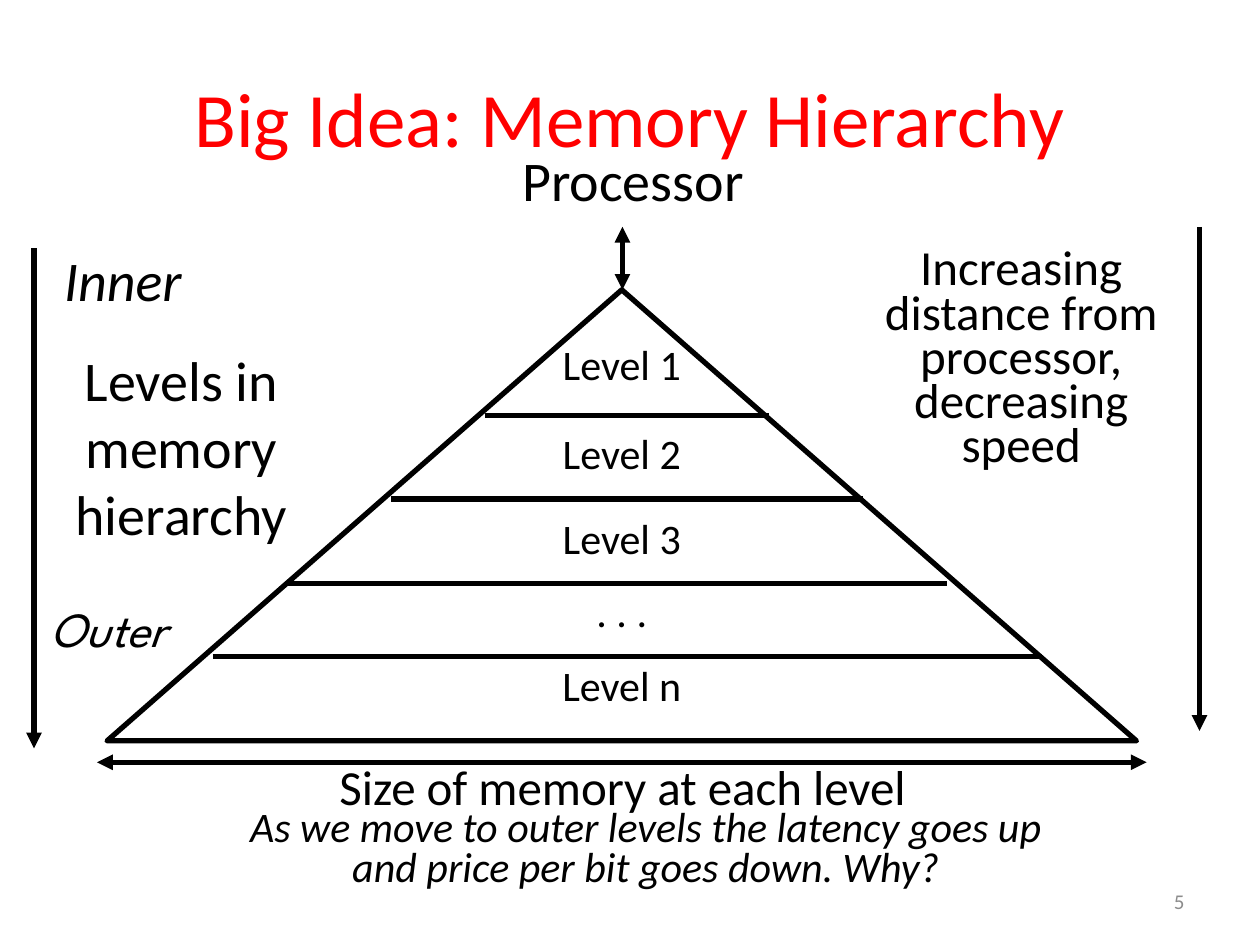
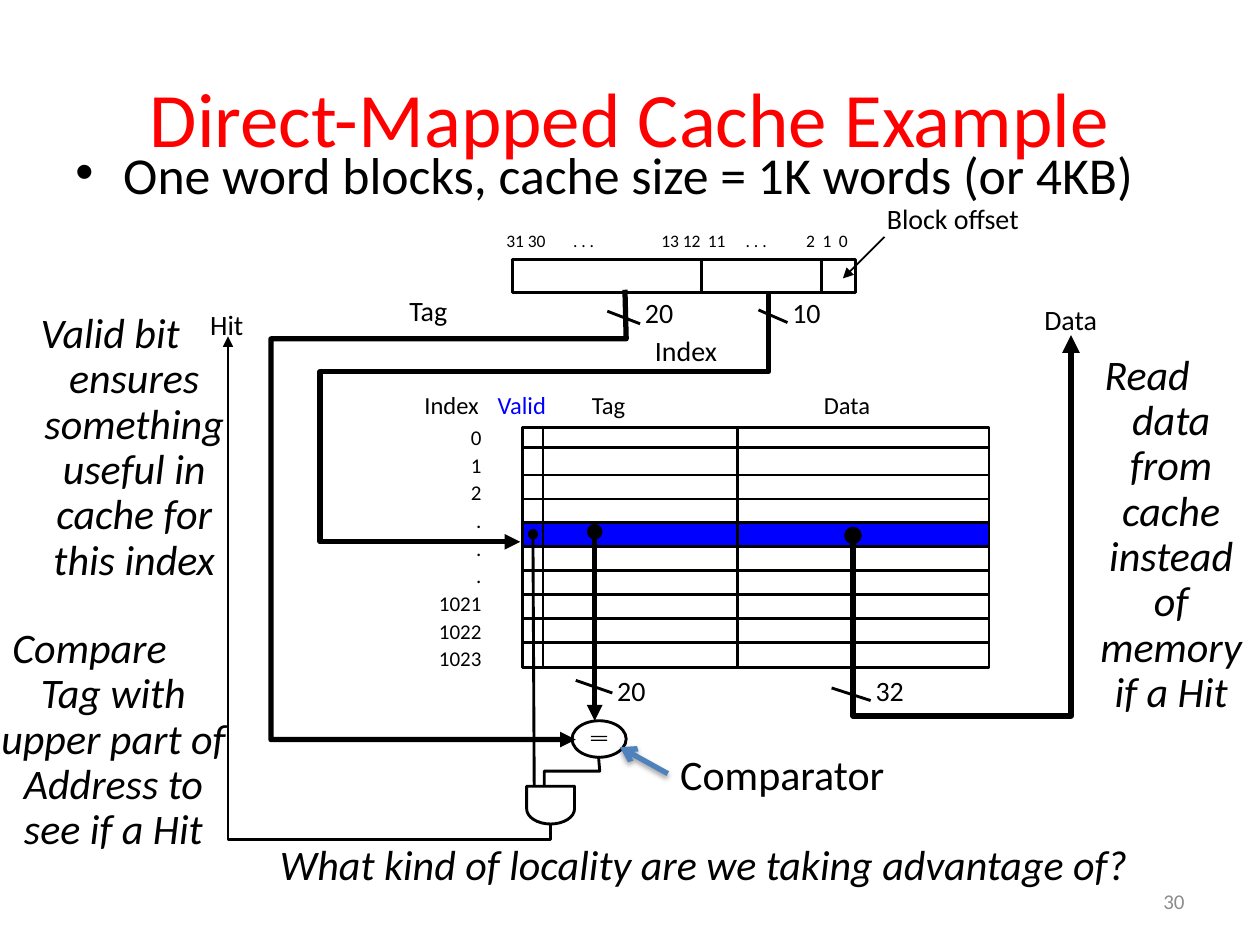
from dataclasses import dataclass
from math import cos, pi, sin

from lxml.etree import SubElement
from pptx import Presentation
from pptx.dml.color import RGBColor
from pptx.enum.shapes import MSO_CONNECTOR, MSO_SHAPE
from pptx.enum.text import MSO_ANCHOR, MSO_AUTO_SIZE, PP_ALIGN
from pptx.oxml.ns import qn
from pptx.slide import Slide
from pptx.util import Inches, Pt

BLACK, RED, BLUE, STEEL, GRAY = "000000", "FF0000", "0000FF", "4F81BD", "8C8C8C"
HEAVY, THIN = 3, 1.63
ALIGNMENTS = {"left": PP_ALIGN.LEFT, "center": PP_ALIGN.CENTER, "right": PP_ALIGN.RIGHT}
DIAGRAM_TEXT = dict(align="center", spacing=0.75, insets=(0.07, 0.03), grow=True)
LABEL = dict(size=16, wrap=False, grow=True)
HEADER = dict(size=14, wrap=False, grow=True)
REMARK = dict(size=24, italic=True, align="center", spacing=0.9, hanging=0.38)


@dataclass
class Region:
    slide: Slide
    left: float = 0
    top: float = 0

    def point(self, x, y):
        return Inches(self.left + x), Inches(self.top + y)

    def place(self, box):
        x, y, width, height = box
        return *self.point(x, y), Inches(width), Inches(height)


def color(value):
    return RGBColor.from_string(value)


def add_child(parent, tag, **attributes):
    return SubElement(parent, qn(tag), {name: str(value) for name, value in attributes.items()})


def write_text(region, text, box, size=24, font="Calibri", fill=BLACK, italic=False,
               align="left", spacing=None, insets=(0.1, 0.05), wrap=True, grow=False,
               middle=False, hanging=0, bullet=None, tabs=()):
    frame = region.slide.shapes.add_textbox(*region.place(box)).text_frame
    frame.word_wrap = wrap
    frame.auto_size = MSO_AUTO_SIZE.SHAPE_TO_FIT_TEXT if grow else MSO_AUTO_SIZE.NONE
    frame.vertical_anchor = MSO_ANCHOR.MIDDLE if middle else MSO_ANCHOR.TOP
    frame.margin_left = frame.margin_right = Inches(insets[0])
    frame.margin_top = frame.margin_bottom = Inches(insets[1])
    frame.text = text
    for paragraph in frame.paragraphs:
        properties = paragraph._p.get_or_add_pPr()
        if hanging:
            properties.set("marL", str(Inches(hanging)))
            properties.set("indent", str(-Inches(hanging)))
        if bullet:
            add_child(properties, "a:buFont", typeface="Arial")
            add_child(properties, "a:buChar", char=bullet)
        if tabs:
            tab_list = add_child(properties, "a:tabLst")
            for position in tabs:
                add_child(tab_list, "a:tab", pos=Inches(position), algn="l")
        paragraph.alignment = ALIGNMENTS[align]
        paragraph.line_spacing = spacing
        for run in paragraph.runs:
            run.font.name = font
            run.font.size = Pt(size)
            run.font.italic = italic
            run.font.color.rgb = color(fill)


def style_line(shape, width, stroke, head, tail):
    shape.line.color.rgb = color(stroke)
    shape.line.width = Pt(width)
    outline = shape.line._get_or_add_ln()
    for tag, kind in (("a:headEnd", head), ("a:tailEnd", tail)):
        if kind:
            add_child(outline, tag, type=kind)


def draw_line(region, start, end, width=HEAVY, stroke=BLACK, head=None, tail=None):
    connector = region.slide.shapes.add_connector(
        MSO_CONNECTOR.STRAIGHT, *region.point(*start), *region.point(*end))
    style_line(connector, width, stroke, head, tail)
    return add_child(connector._element.spPr, "a:effectLst")


def draw_path(region, points, width=HEAVY, head=None, tail=None, close=False):
    start, *others = [region.point(*point) for point in points]
    builder = region.slide.shapes.build_freeform(*start)
    builder.add_line_segments(others, close=close)
    shape = builder.convert_to_shape()
    shape.shadow.inherit = False
    shape.fill.background()
    style_line(shape, width, BLACK, head, tail)


def draw_shape(region, kind, box, fill=None, width=THIN):
    shape = region.slide.shapes.add_shape(kind, *region.place(box))
    shape.shadow.inherit = False
    if fill:
        shape.fill.solid()
        shape.fill.fore_color.rgb = color(fill)
    else:
        shape.fill.background()
    if width:
        style_line(shape, width, BLACK, None, None)
    else:
        shape.line.fill.background()


def add_titled_slide(presentation, title, number):
    slide = presentation.slides.add_slide(presentation.slide_layouts[6])
    page = Region(slide)
    write_text(page, title, (0.5, 0.3, 9, 1.25), size=44, fill=RED, align="center", middle=True)
    write_text(page, str(number), (7.17, 6.95, 2.33, 0.4), size=12, fill=GRAY,
               align="right", middle=True)
    return slide


def draw_processor(region):
    write_text(region, "Processor", (0, 0, 8.67, 0.48), size=32, **DIAGRAM_TEXT)
    draw_line(region, (4.25, 1.05), (4.25, 0.55), head="triangle", tail="triangle")


def draw_level_pyramid(region):
    draw_shape(region, MSO_SHAPE.ISOSCELES_TRIANGLE, (0, 0, 8.17, 3.58), width=HEAVY)
    levels = (("Level 1", 0.45), ("Level 2", 1.16), ("Level 3", 1.83),
              (". . .", 2.41), ("Level n", 3))
    for name, top in levels:
        write_text(region, name, (3.25, top, 1.67, 0.38), **DIAGRAM_TEXT)
    for left, right, y in ((3, 5.25, 1), (2.25, 6, 1.66), (1.42, 6.67, 2.33), (0.84, 7.42, 2.91)):
        draw_line(region, (left, y), (right, y))


def draw_memory_size(region):
    draw_line(region, (0, 0), (8.33, 0), head="triangle", tail="triangle")
    write_text(region, "Size of memory at each level", (0.67, 0.03, 7, 0.43), size=28,
               **DIAGRAM_TEXT)
    write_text(region, "As we move to outer levels the latency goes up\v"
               "and price per bit goes down. Why?", (0.48, 0.33, 7.75, 0.76),
               italic=True, align="center", spacing=0.8, grow=True)


def draw_distance_axis(region):
    write_text(region, "Increasing distance from processor,\vdecreasing speed",
               (0, 0.16, 2.67, 1.84), size=28, **DIAGRAM_TEXT)
    draw_line(region, (2.75, 0), (2.75, 4), tail="triangle")


def draw_level_axis(region):
    draw_line(region, (0, 0.07), (0, 4.04), tail="triangle")
    write_text(region, "Inner", (0.14, 0, 1.25, 0.64), size=32, italic=True,
               wrap=False, grow=True)
    write_text(region, "Levels in memory hierarchy", (0, 0.79, 2.34, 1.72), size=32,
               align="center", grow=True)
    write_text(region, "Outer", (0.03, 2.8, 1.28, 0.57), size=28, font="League Spartan",
               italic=True, wrap=False, grow=True)


def build_hierarchy_slide(presentation):
    slide = add_titled_slide(presentation, "Big Idea: Memory Hierarchy", 5)
    draw_processor(Region(slide, 0.69, 1.25))
    draw_level_pyramid(Region(slide, 0.85, 2.3))
    draw_memory_size(Region(slide, 0.77, 6.05))
    draw_distance_axis(Region(slide, 6.77, 1.8))
    draw_level_axis(Region(slide, 0.27, 1.9))


def mark_bus_width(region, bits, x, y, label_dx, label_dy):
    draw_line(region, (x, y), (x + label_dx + 0.06, y + 0.1), width=THIN)
    write_text(region, bits, (x + label_dx, y + label_dy, 0.45, 0.37), **LABEL)


def draw_address(region):
    draw_shape(region, MSO_SHAPE.RECTANGLE, (0, 0, 2.72, 0.26))
    for x in (1.5, 2.45):
        draw_line(region, (x, 0), (x, 0.26), width=THIN)
    write_text(region, "31 30\t. . .\t13 12\t11\t. . .\t2\t1\t0", (-0.15, -0.28, 3.1, 0.27),
               size=10, grow=True, tabs=(0.53, 1.23, 1.6, 1.9, 2.38, 2.51, 2.64))
    write_text(region, "Block offset", (2.87, -0.51, 1.25, 0.37), size=16, grow=True)
    draw_line(region, (2.95, -0.18), (2.62, 0.15), width=1, tail="triangle")


def draw_address_buses(region):
    draw_path(region, [(2.81, 0), (2.82, 0.39), (0, 0.39), (0, 3.57), (2.42, 3.57)],
              tail="triangle")
    mark_bus_width(region, "20", 2.67, 0.17, 0.2, -0.17)
    write_text(region, "Tag", (1, -0.02, 0.58, 0.37), **LABEL)
    draw_path(region, [(3.95, 0.02), (3.95, 0.65), (0.39, 0.65), (0.39, 2), (1.98, 2)],
              tail="triangle")
    mark_bus_width(region, "10", 3.87, 0.16, 0.17, -0.16)
    write_text(region, "Index", (2.95, 0.3, 0.74, 0.37), **LABEL)


def draw_cache(region):
    width, height, row_height = 3.7, 1.91, 0.19
    draw_shape(region, MSO_SHAPE.RECTANGLE, (0, 0, width, height))
    draw_shape(region, MSO_SHAPE.RECTANGLE, (0, 4 * row_height, width, row_height), fill=BLUE)
    for y in [0.16] + [row * row_height for row in range(2, 10)]:
        draw_line(region, (0, y), (width, y), width=THIN)
    for x in (0.16, 1.7):
        draw_line(region, (x, 0), (x, height), width=THIN)
    headers = (("Index", -0.88, 0.7, BLACK), ("Valid", -0.3, 0.59, BLUE),
               ("Tag", 0.45, 0.53, BLACK), ("Data", 2.29, 0.61, BLACK))
    for name, left, label_width, fill in headers:
        write_text(region, name, (left, -0.34, label_width, 0.33), fill=fill, **HEADER)
    write_text(region, "0\n1\n2\n.\n.\n.\n1021\n1022\n1023", (-0.8, -0.09, 0.57, 2.09), size=12,
               align="right", spacing=1.1, wrap=False, grow=True)


def draw_comparator(region):
    draw_shape(region, MSO_SHAPE.OVAL, (0, 0, 0.43, 0.29))
    for y in (0.12, 0.15):
        draw_shape(region, MSO_SHAPE.RECTANGLE, (0.15, y, 0.13, 0.01), fill=BLACK, width=None)
    draw_line(region, (0.18, -1.5), (0.18, 0), head="oval", tail="triangle")
    mark_bus_width(region, "20", 0.03, -0.32, 0.23, -0.1)
    write_text(region, "Comparator", (0.76, 0.17, 1.84, 0.5), wrap=False, grow=True)
    effects = draw_line(region, (0.76, 0.42), (0.38, 0.21), stroke=STEEL, tail="arrow")
    shadow = add_child(effects, "a:outerShdw", blurRad=Pt(3.1), dist=Pt(1.6), dir=5400000,
                       rotWithShape=0)
    add_child(add_child(shadow, "a:srgbClr", val=BLACK), "a:alpha", val=38000)


def draw_hit_logic(region):
    radius, side, depth = 0.19, 0.18, 0.12
    curve = [(radius - radius * cos(step * pi / 16), side + depth * sin(step * pi / 16))
             for step in range(17)]
    draw_path(region, [(0, 0), *curve, (2 * radius, 0)], width=THIN, close=True)
    draw_line(region, (0.05, -2), (0.06, 0), width=THIN, head="oval")
    draw_path(region, [(0.57, -0.24), (0.58, -0.12), (0.14, -0.12), (0.14, 0)], width=THIN)
    draw_path(region, [(radius, side + depth), (radius, 0.42), (-2.37, 0.42), (-2.37, -3.57)],
              width=THIN, tail="triangle")
    write_text(region, "Hit", (-2.61, -3.85, 0.47, 0.37), **LABEL)


def draw_data_bus(region):
    draw_path(region, [(0, 1.59), (0, 3.02), (1.73, 3.02), (1.73, 0)], width=3.38,
              head="oval", tail="triangle")
    mark_bus_width(region, "32", -0.17, 2.8, 0.25, -0.16)
    write_text(region, "Data", (1.42, -0.31, 0.67, 0.37), **LABEL)


def write_remarks(region):
    write_text(region, "One word blocks, cache size = 1K words (or 4KB)",
               (0.5, 1.26, 8.83, 0.74), size=29.6, spacing=0.6, hanging=0.38, bullet="•")
    remarks = (
        ("Valid bit ensures something useful in cache for this index", (-0.21, 2.43, 2.17, 0.5)),
        ("Compare\vTag with upper part of Address to see if a Hit", (-0.5, 4.93, 2.42, 2.24)),
        ("Read\vdata from cache instead of memory if a Hit", (8.21, 2.76, 1.79, 0.5)),
        ("What kind of locality are we taking advantage of?", (1.17, 6.65, 8.83, 0.5)))
    for remark, box in remarks:
        write_text(region, remark, box, **REMARK)


def build_cache_slide(presentation):
    slide = add_titled_slide(presentation, "Direct-Mapped Cache Example", 30)
    write_remarks(Region(slide))
    draw_address(Region(slide, 4.07, 2.06))
    draw_address_buses(Region(slide, 2.15, 2.3))
    draw_cache(Region(slide, 4.15, 3.39))
    draw_comparator(Region(slide, 4.54, 5.72))
    draw_hit_logic(Region(slide, 4.18, 6.24))
    draw_data_bus(Region(slide, 6.77, 2.66))


def main():
    presentation = Presentation()
    presentation.slide_width, presentation.slide_height = Inches(10), Inches(7.5)
    build_hierarchy_slide(presentation)
    build_cache_slide(presentation)
    presentation.save("out.pptx")


if __name__ == "__main__":
    main()
